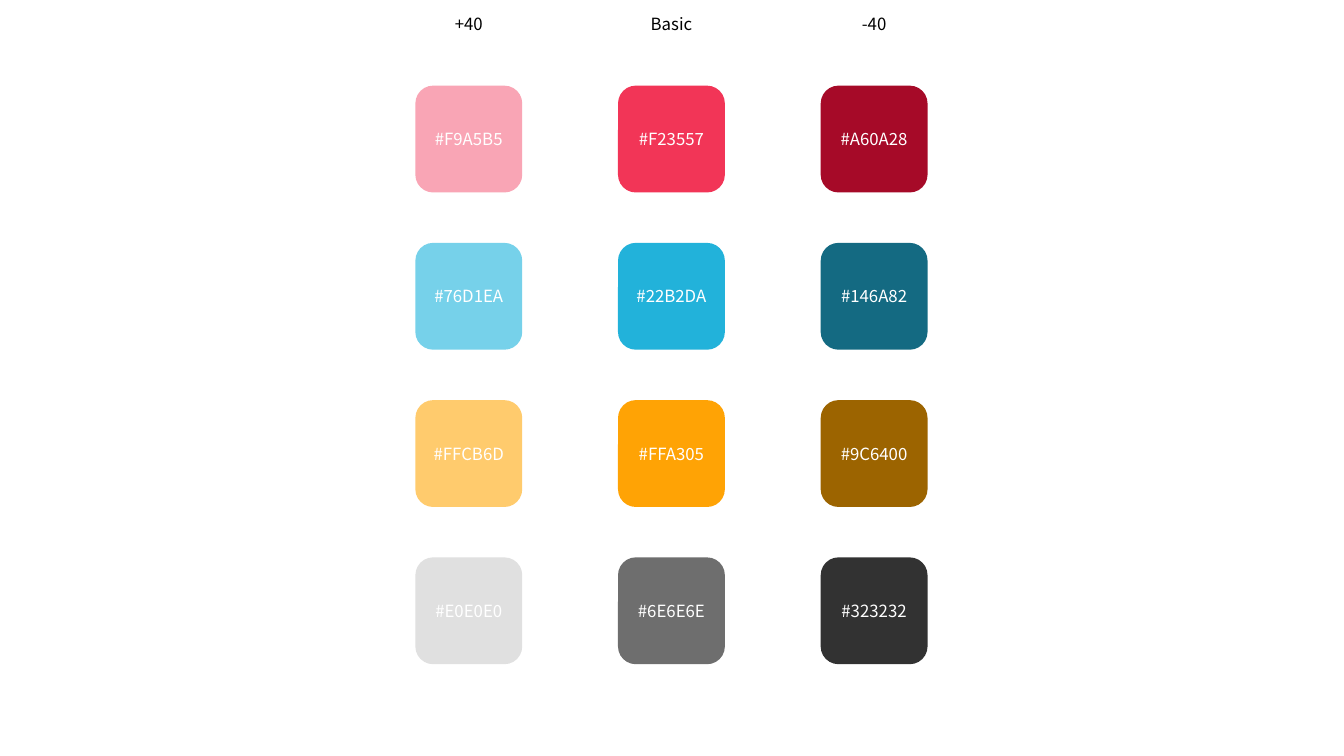
from dataclasses import dataclass

from pptx import Presentation
from pptx.dml.color import RGBColor
from pptx.enum.shapes import MSO_SHAPE
from pptx.enum.text import MSO_ANCHOR, MSO_AUTO_SIZE, PP_ALIGN
from pptx.util import Inches, Pt


@dataclass(frozen=True)
class Theme:
    font: str = "Noto Sans CJK KR"
    label_size: int = 12
    heading_color: str = "000000"
    code_color: str = "FFFFFF"


THEME = Theme()

# Palette: one row per hue, one column per brightness
BRIGHTNESS_HEADINGS = ["+40", "Basic", "-40"]
PALETTE = [
    ["F9A5B5", "F23557", "A60A28"],
    ["76D1EA", "22B2DA", "146A82"],
    ["FFCB6D", "FFA305", "9C6400"],
    ["E0E0E0", "6E6E6E", "323232"],
]

# Grid, in inches
GRID_LEFT, GRID_TOP = 4.12, 0.85
COLUMN_STEP, ROW_STEP = 2.01, 1.56
SWATCH_SIZE = 1.06
HEADING_TOP, HEADING_HEIGHT = 0.09, 0.34


def column_left(column):
    return Inches(GRID_LEFT + column * COLUMN_STEP)


def write_text(frame, text, *, color, anchor, size=THEME.label_size):
    frame.word_wrap = True
    frame.vertical_anchor = anchor
    paragraph = frame.paragraphs[0]
    paragraph.alignment = PP_ALIGN.CENTER
    run = paragraph.add_run()
    run.text = text
    run.font.name = THEME.font
    run.font.size = Pt(size)
    run.font.color.rgb = RGBColor.from_string(color)


def add_heading(slide, column, text):
    heading = slide.shapes.add_textbox(
        column_left(column), Inches(HEADING_TOP),
        Inches(SWATCH_SIZE), Inches(HEADING_HEIGHT))
    write_text(heading.text_frame, text,
               color=THEME.heading_color, anchor=MSO_ANCHOR.TOP)
    heading.text_frame.auto_size = MSO_AUTO_SIZE.SHAPE_TO_FIT_TEXT


def add_swatch(slide, row, column, hex_code):
    swatch = slide.shapes.add_shape(
        MSO_SHAPE.ROUNDED_RECTANGLE,
        column_left(column), Inches(GRID_TOP + row * ROW_STEP),
        Inches(SWATCH_SIZE), Inches(SWATCH_SIZE))
    swatch.shadow.inherit = False
    swatch.fill.solid()
    swatch.fill.fore_color.rgb = RGBColor.from_string(hex_code)
    swatch.line.fill.background()
    write_text(swatch.text_frame, f"#{hex_code}",
               color=THEME.code_color, anchor=MSO_ANCHOR.MIDDLE)


def main():
    presentation = Presentation()
    presentation.slide_width = Inches(13.33)
    presentation.slide_height = Inches(7.5)
    slide = presentation.slides.add_slide(presentation.slide_layouts[6])

    # Column headings
    for column, text in enumerate(BRIGHTNESS_HEADINGS):
        add_heading(slide, column, text)

    # Colour swatches
    for row, hue in enumerate(PALETTE):
        for column, hex_code in enumerate(hue):
            add_swatch(slide, row, column, hex_code)

    presentation.save("out.pptx")


if __name__ == "__main__":
    main()
